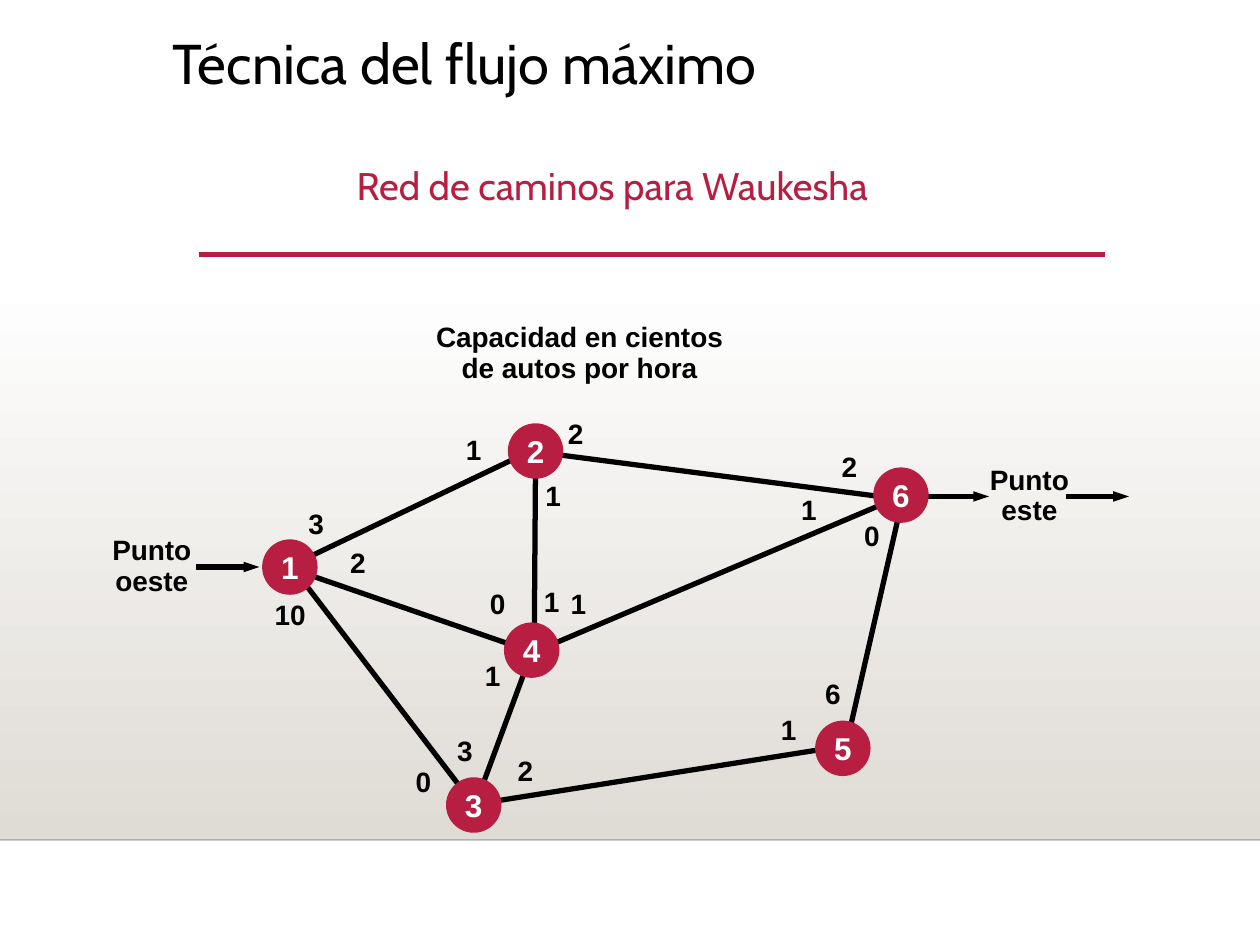
from lxml import etree
from pptx import Presentation
from pptx.dml.color import RGBColor
from pptx.enum.shapes import MSO_CONNECTOR, MSO_SHAPE
from pptx.enum.text import MSO_ANCHOR, MSO_AUTO_SIZE, PP_ALIGN
from pptx.oxml.ns import qn
from pptx.util import Pt

LINE = MSO_CONNECTOR.STRAIGHT
RECT, OVAL = MSO_SHAPE.RECTANGLE, MSO_SHAPE.OVAL
TOP, MIDDLE = MSO_ANCHOR.TOP, MSO_ANCHOR.MIDDLE
LEFT, CENTER = PP_ALIGN.LEFT, PP_ALIGN.CENTER
FIXED = MSO_AUTO_SIZE.NONE

COLORS = {"red": "B71E42", "black": "000000", "white": "FFFFFF",
          "sand": "DFDBD5"}
WIDE, HIGH = 720, 540
FLOOR = 480
NODE = 31.7

# Node number: left, top
NODES = {
    "1": (149.8, 308.2),
    "2": (290.2, 241.9),
    "3": (254.9, 444.2),
    "4": (288, 355.7),
    "5": (465.8, 411.8),
    "6": (499, 267.1),
}

# Road: start x, y, end x, y; then the capacity at each end: text, left, top
ROADS = [
    ((171.4, 329.8, 267.1, 455), ("10", 149.8, 337.7), ("0", 230.4, 433.4)),
    ((282.2, 457.9, 473, 427.7), ("2", 288.7, 427), ("1", 439.2, 403.9)),
    ((275, 450.7, 301.7, 378.7), ("3", 254.2, 415.4), ("1", 270, 373)),
    ((311, 370.1, 506.2, 287.3), ("1", 319, 331.9), ("1", 450.7, 277.9)),
    ((313.9, 259.2, 513.4, 285.1), ("2", 317.5, 234.7), ("2", 473.8, 253.4)),
    ((169.2, 321.8, 303.1, 257.8), ("3", 169.2, 285.8), ("1", 259.2, 243.4)),
    ((485.3, 418.3, 514.1, 292.3), ("6", 464.4, 383), ("0", 486.7, 293)),
    ((169.9, 326.2, 303.1, 372.2), ("2", 193, 308.2), ("0", 272.9, 331.9)),
    ((305.3, 365.8, 306, 267.1), ("1", 303.8, 330.5), ("1", 304.6, 270)),
]

# Left and height of each arrow, from west to east
ARROWS = [(112.3, 324), (529.2, 283.7), (609.1, 283.7)]
ARROW = 36

# Caption: text, left, top, width
CAPTIONS = [
    ("Capacidad en cientos de autos por hora", 236.9, 181.4, 188.6),
    ("Punto oeste", 54, 303.1, 65.5),
    ("Punto este", 558, 262.8, 60.5),
]


def color(name):
    return RGBColor.from_string(COLORS[name])


def write(shape, text, size, tint="black", face="Arial", bold=True,
          align=LEFT, space=1.0, wrap=True, anchor=TOP):
    """Set the text of a shape and format it."""
    frame = shape.text_frame
    frame.text = text
    frame.word_wrap = wrap
    frame.auto_size = FIXED
    frame.vertical_anchor = anchor
    para = frame.paragraphs[0]
    para.alignment = align
    para.line_spacing = space
    font = para.runs[0].font
    font.name, font.size, font.bold = face, Pt(size), bold
    font.color.rgb = color(tint)


def add_text(slide, text, x, y, w, h, size, **style):
    box = slide.shapes.add_textbox(Pt(x), Pt(y), Pt(w), Pt(h))
    write(box, text, size, **style)


def add_line(slide, x1, y1, x2, y2, tint="black", width=3):
    line = slide.shapes.add_connector(LINE, Pt(x1), Pt(y1), Pt(x2), Pt(y2))
    line.line.color.rgb = color(tint)
    line.line.width = Pt(width)
    etree.SubElement(line._element.spPr, qn("a:effectLst"))
    return line


def add_arrow(slide, x, y):
    line = add_line(slide, x, y, x + ARROW, y)
    etree.SubElement(line.line._get_or_add_ln(), qn("a:tailEnd"),
                     type="triangle", w="sm", len="med")


def add_node(slide, name, x, y):
    node = slide.shapes.add_shape(OVAL, Pt(x), Pt(y), Pt(NODE), Pt(NODE))
    node.shadow.inherit = False
    node.fill.solid()
    node.fill.fore_color.rgb = color("red")
    node.line.fill.background()
    write(node, name, 18, tint="white", align=CENTER, wrap=False,
          anchor=MIDDLE)


def add_ground(slide):
    """Draw the fading band, its faint lower edge and the red rule."""
    top = 158.4
    band = slide.shapes.add_shape(RECT, 0, Pt(top), Pt(WIDE), Pt(FLOOR - top))
    band.shadow.inherit = False
    band.line.fill.background()
    band.fill.gradient()
    band.fill.gradient_angle = 270
    for stop, name in zip(band.fill.gradient_stops, ("white", "sand")):
        stop.color.rgb = color(name)
    edge = add_line(slide, 0, FLOOR, WIDE, FLOOR, width=1)
    tone = edge._element.spPr.find(".//" + qn("a:srgbClr"))
    etree.SubElement(tone, qn("a:alpha"), val="20000")
    add_line(slide, 113.8, 145.4, 631.4, 145.4, tint="red", width=2.5)


def set_title(slide, text):
    title = slide.shapes.title
    title.left, title.top = Pt(91.4), Pt(17.3)
    title.width, title.height = Pt(517.7), Pt(82.8)
    write(title, text, 32, face="Cabin", bold=False, space=0.9)


def main():
    deck = Presentation()
    deck.slide_width, deck.slide_height = Pt(WIDE), Pt(HIGH)
    slide = deck.slides.add_slide(deck.slide_layouts[5])
    add_ground(slide)
    set_title(slide, "Técnica del flujo máximo")
    add_text(slide, "Red de caminos para Waukesha", 43.9, 86.4, 612, 38.2,
             22, tint="red", face="Cabin", bold=False, align=CENTER,
             space=1.1)
    for text, x, y, w in CAPTIONS:
        add_text(slide, text, x, y, w, 41.8, 16, align=CENTER, space=0.9)
    for x, y in ARROWS:
        add_arrow(slide, x, y)
    for ends, *loads in ROADS:
        add_line(slide, *ends)
        for text, x, y in loads:
            add_text(slide, text, x, y, 14.4 + 8.9 * len(text), 26.6, 16,
                     wrap=False)
    for name, (x, y) in NODES.items():
        add_node(slide, name, x, y)
    deck.save("out.pptx")


if __name__ == "__main__":
    main()
